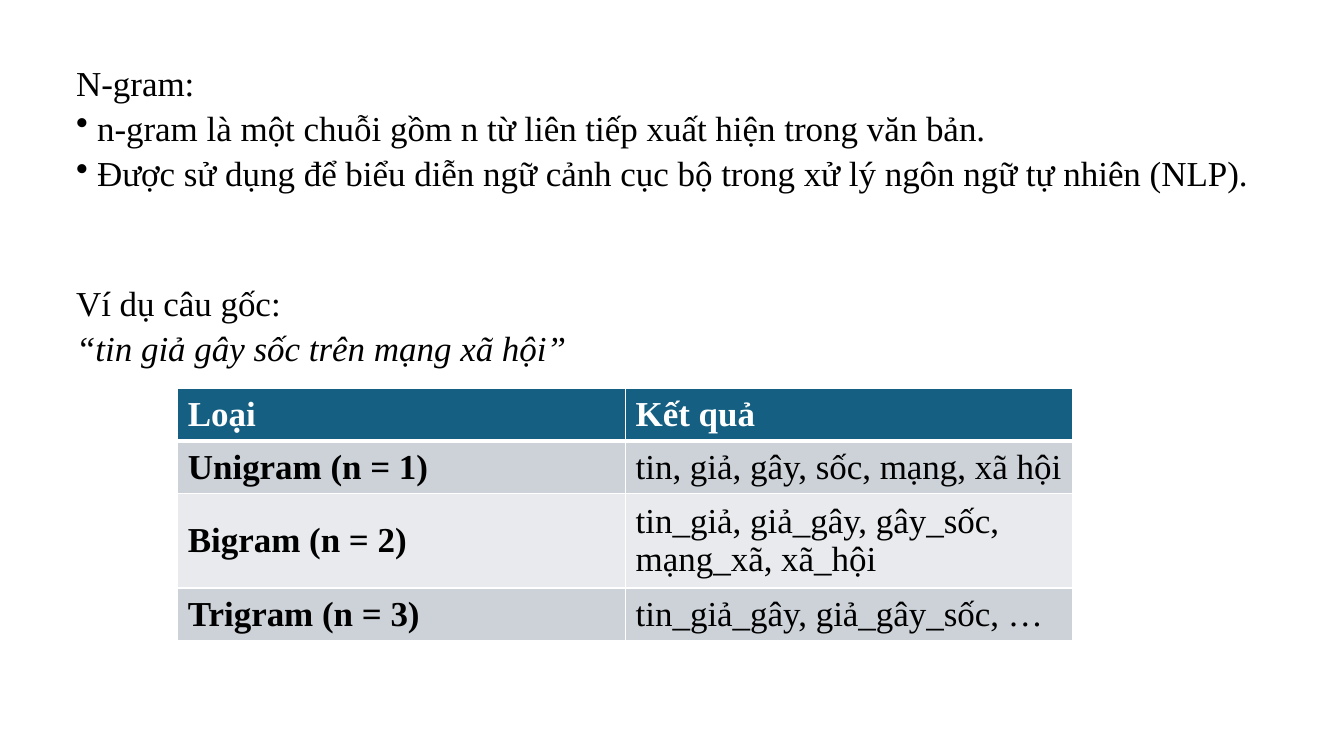
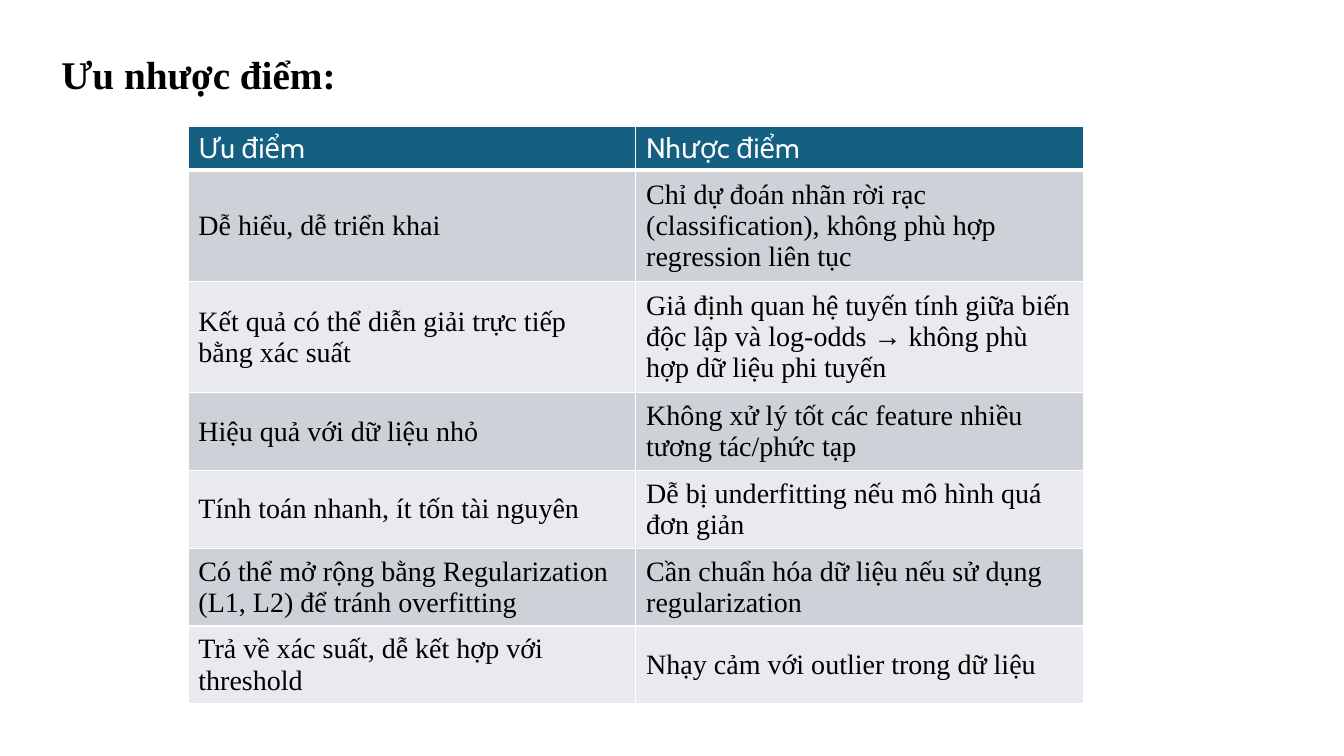
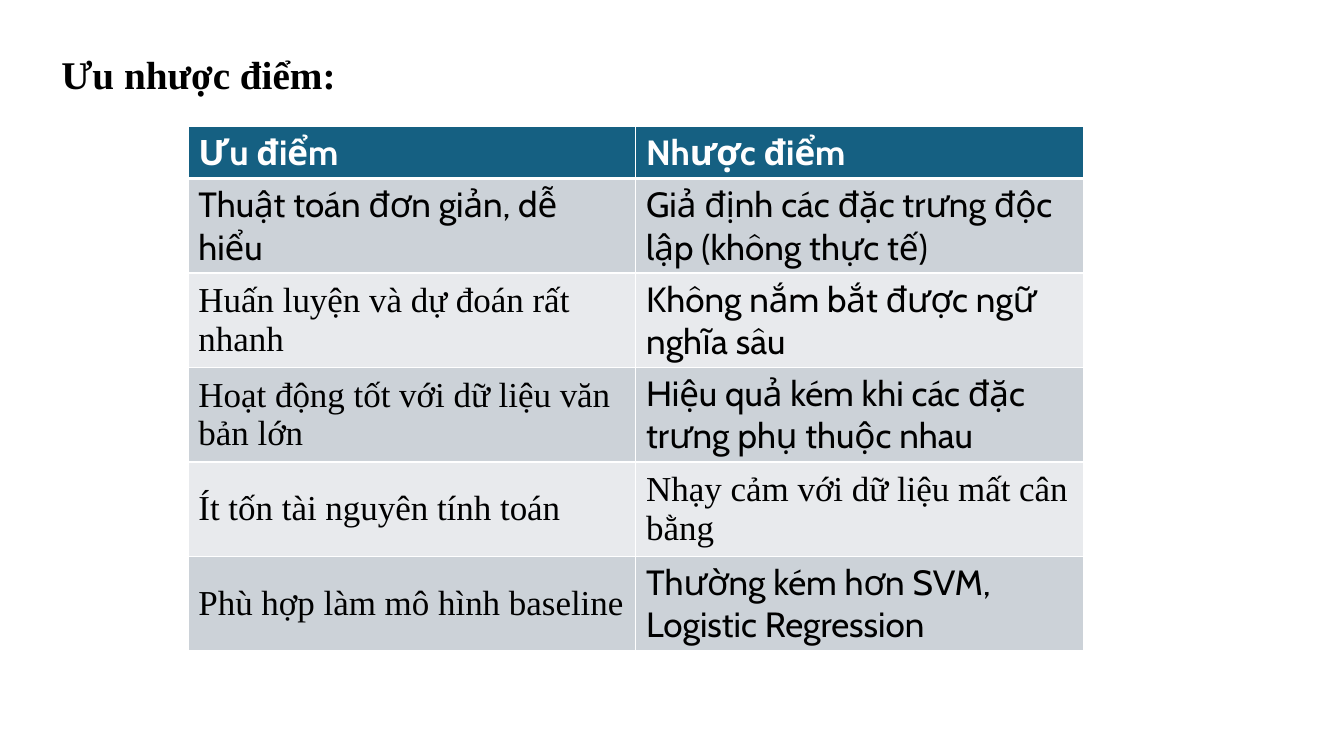
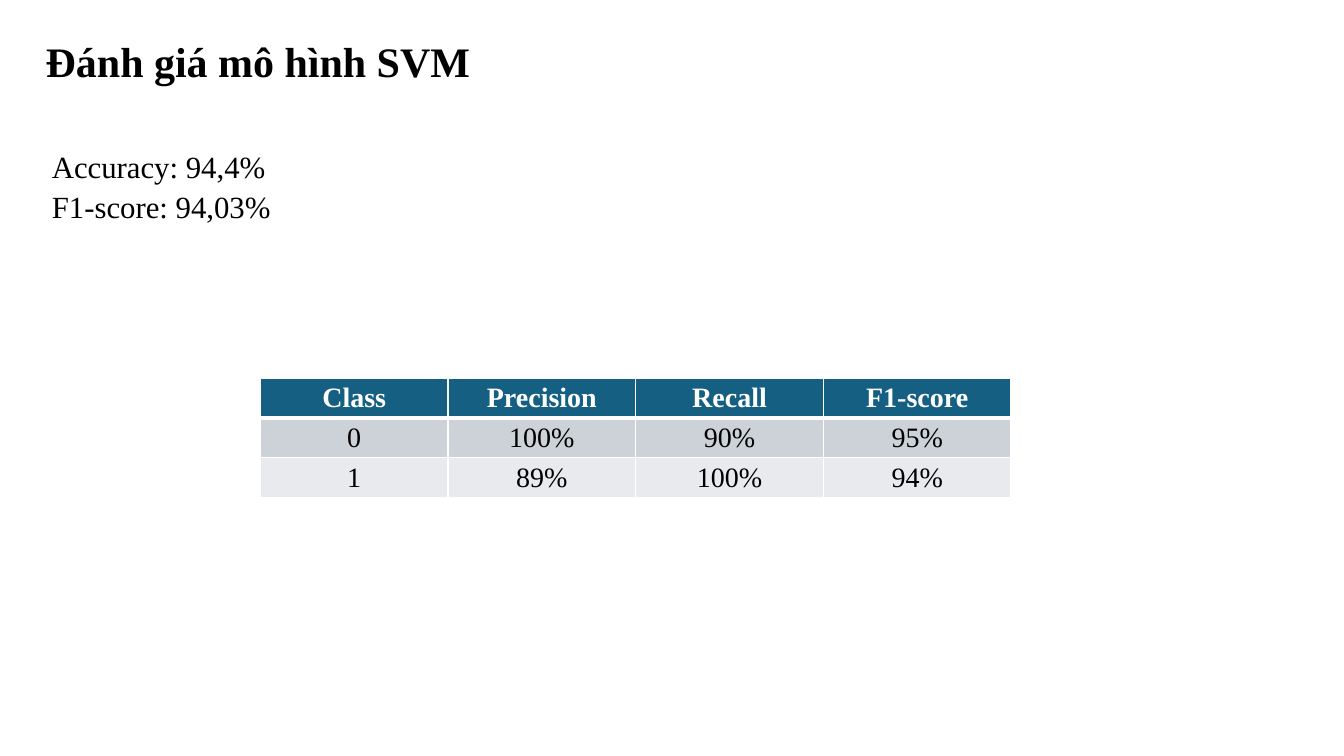
from pptx import Presentation
from pptx.dml.color import RGBColor as Rgb
from pptx.enum.text import MSO_ANCHOR as Anchor, PP_ALIGN as Align
from pptx.oxml.ns import qn
from pptx.util import Pt
from lxml.etree import Element, SubElement as Sub

PX = 9525
HUES = {"ink": "000000", "paper": "FFFFFF", "head": "156082",
        "odd": "CCD2D8", "even": "E8EAED"}
FONTS = {"T": "Times New Roman", "C": "Cabin"}

PROS = {"kind": "text", "box": (49, 36, 283, 55), "size": 28, "bold": True,
        "lines": [("Ưu nhược điểm:", {})]}

SLIDES = [
    [
        {"kind": "text", "box": (63, 47, 1140, 333), "size": 25, "lines": [
            ("N-gram:", {}),
            ("n-gram là một chuỗi gồm n từ liên tiếp xuất hiện trong văn bản.",
             {"mark": "•"}),
            ("Được sử dụng để biểu diễn ngữ cảnh cục bộ trong xử lý ngôn ngữ tự nhiên (NLP).",
             {"mark": "•"}),
            ("Ví dụ câu gốc:", {"gap": 60}),
            ("“tin giả gây sốc trên mạng xã hội”", {"italic": True}),
        ]},
        {"kind": "table", "box": (169, 370, 853), "size": 25, "bold": (True, True),
         "side": True, "rows": [
            (1, "TT", ("Loại", "Kết quả")),
            (1, "TT", ("Unigram (n = 1)", "tin, giả, gây, sốc, mạng, xã hội")),
            (2, "TT", ("Bigram (n = 2)", "tin_giả, giả_gây, gây_sốc, mạng_xã, xã_hội")),
            (1, "TT", ("Trigram (n = 3)", "tin_giả_gây, giả_gây_sốc, …")),
        ]},
    ],
    [
        PROS,
        {"kind": "table", "box": (179, 120, 853), "size": 20, "top": False, "rows": [
            (1, "CC", ("Ưu điểm", "Nhược điểm")),
            (3, "TT", ("Dễ hiểu, dễ triển khai",
                       "Chỉ dự đoán nhãn rời rạc (classification), không phù hợp regression liên tục")),
            (3, "TT", ("Kết quả có thể diễn giải trực tiếp bằng xác suất",
                       "Giả định quan hệ tuyến tính giữa biến độc lập và log-odds → không phù hợp dữ liệu phi tuyến")),
            (2, "TT", ("Hiệu quả với dữ liệu nhỏ",
                       "Không xử lý tốt các feature nhiều tương tác/phức tạp")),
            (2, "TT", ("Tính toán nhanh, ít tốn tài nguyên",
                       "Dễ bị underfitting nếu mô hình quá đơn giản")),
            (2, "TT", ("Có thể mở rộng bằng Regularization (L1, L2) để tránh overfitting",
                       "Cần chuẩn hóa dữ liệu nếu sử dụng regularization")),
            (2, "TT", ("Trả về xác suất, dễ kết hợp với threshold",
                       "Nhạy cảm với outlier trong dữ liệu")),
        ]},
    ],
    [
        PROS,
        {"kind": "table", "box": (179, 120, 853), "size": 25, "rows": [
            (1, "CC", ("Ưu điểm", "Nhược điểm")),
            (2, "CC", ("Thuật toán đơn giản, dễ hiểu",
                       "Giả định các đặc trưng độc lập (không thực tế)")),
            (2, "TC", ("Huấn luyện và dự đoán rất nhanh",
                       "Không nắm bắt được ngữ nghĩa sâu")),
            (2, "TC", ("Hoạt động tốt với dữ liệu văn bản lớn",
                       "Hiệu quả kém khi các đặc trưng phụ thuộc nhau")),
            (2, "TT", ("Ít tốn tài nguyên tính toán",
                       "Nhạy cảm với dữ liệu mất cân bằng")),
            (2, "TC", ("Phù hợp làm mô hình baseline",
                       "Thường kém hơn SVM, Logistic Regression")),
        ]},
    ],
    [
        {"kind": "table", "box": (248, 360, 715), "size": 20, "pad": (7, 3),
         "align": Align.CENTER, "rows": [
            (1, "TTTT", ("Class", "Precision", "Recall", "F1-score")),
            (1, "TTTT", ("0", "100%", "90%", "95%")),
            (1, "TTTT", ("1", "89%", "100%", "94%")),
        ]},
        {"kind": "text", "box": (34, 22, 427, 59), "size": 30, "bold": True,
         "lines": [("Đánh giá mô hình SVM", {})]},
        {"kind": "text", "box": (40, 130, 230, 81), "size": 22,
         "lines": [("Accuracy: 94,4%", {}), ("F1-score: 94,03%", {})]},
    ],
]


def px(n):
    return int(n * PX)


def write(para, text, size=20, font="T", hue="ink", bold=False, italic=False,
          align=Align.LEFT, mark=None, gap=0, pitch=None):
    para.alignment = align
    if pitch:
        para.line_spacing = pitch
    if gap:
        para.space_before = Pt(gap)
    if mark:
        props = para._p.get_or_add_pPr()
        props.set("marL", str(px(20)))
        props.set("indent", str(px(-20)))
        Sub(props, qn("a:buChar")).set("char", mark)
    run = para.add_run()
    run.text = text
    face = run.font
    face.name, face.size = FONTS[font], Pt(size)
    face.bold, face.italic = bold, italic
    face.color.rgb = Rgb.from_string(HUES[hue])


def add_text(slide, box, size, lines, bold=False):
    frame = slide.shapes.add_textbox(*map(px, box)).text_frame
    frame.word_wrap = True
    frame.margin_top = px(8)
    for i, (text, extra) in enumerate(lines):
        para = frame.add_paragraph() if i else frame.paragraphs[0]
        write(para, text, size=size, bold=bold, pitch=1.08, **extra)


def edge(cell, widths):
    props = cell._tc.get_or_add_tcPr()
    for i, (side, width) in enumerate(zip("LRTB", widths)):
        line = Element(qn("a:ln" + side), w=str(Pt(width)))
        fill = Sub(line, qn("a:solidFill"))
        Sub(fill, qn("a:srgbClr")).set("val", HUES["paper"])
        props.insert(i, line)


def add_grid(slide, box, size, rows, top=True, side=False, pad=(10, 5),
             align=Align.LEFT, bold=None):
    left, upper, wide = box
    cols = len(rows[0][2])
    highs = [n * size * 1.6 + 2 * pad[1] for n, _, _ in rows]
    grid = slide.shapes.add_table(len(rows), cols, px(left), px(upper),
                                  px(wide), px(sum(highs))).table
    for col in grid.columns:
        col.width = px(wide / cols)
    for r, (_, faces, texts) in enumerate(rows):
        grid.rows[r].height = px(highs[r])
        tone = "head" if r == 0 else "odd" if r % 2 else "even"
        for c, text in enumerate(texts):
            cell = grid.cell(r, c)
            cell.vertical_anchor = Anchor.MIDDLE
            cell.margin_left = cell.margin_right = px(pad[0])
            cell.margin_top = cell.margin_bottom = px(pad[1])
            cell.fill.solid()
            cell.fill.fore_color.rgb = Rgb.from_string(HUES[tone])
            edge(cell, (1, 1, 3 if r == 1 else 1, 3 if r == 0 else 1))
            write(cell.text_frame.paragraphs[0], text, size=size, font=faces[c],
                  hue="ink" if r else "paper", align=align,
                  bold=(side and c == 0) if r else top)


def main():
    deck = Presentation()
    deck.slide_width, deck.slide_height = px(1280), px(720)
    draw = {"text": add_text, "table": add_grid}
    for parts in SLIDES:
        slide = deck.slides.add_slide(deck.slide_layouts[6])
        for part in parts:
            rest = {k: v for k, v in part.items() if k != "kind"}
            draw[part["kind"]](slide, **rest)
    deck.save("out.pptx")


if __name__ == "__main__":
    main()
